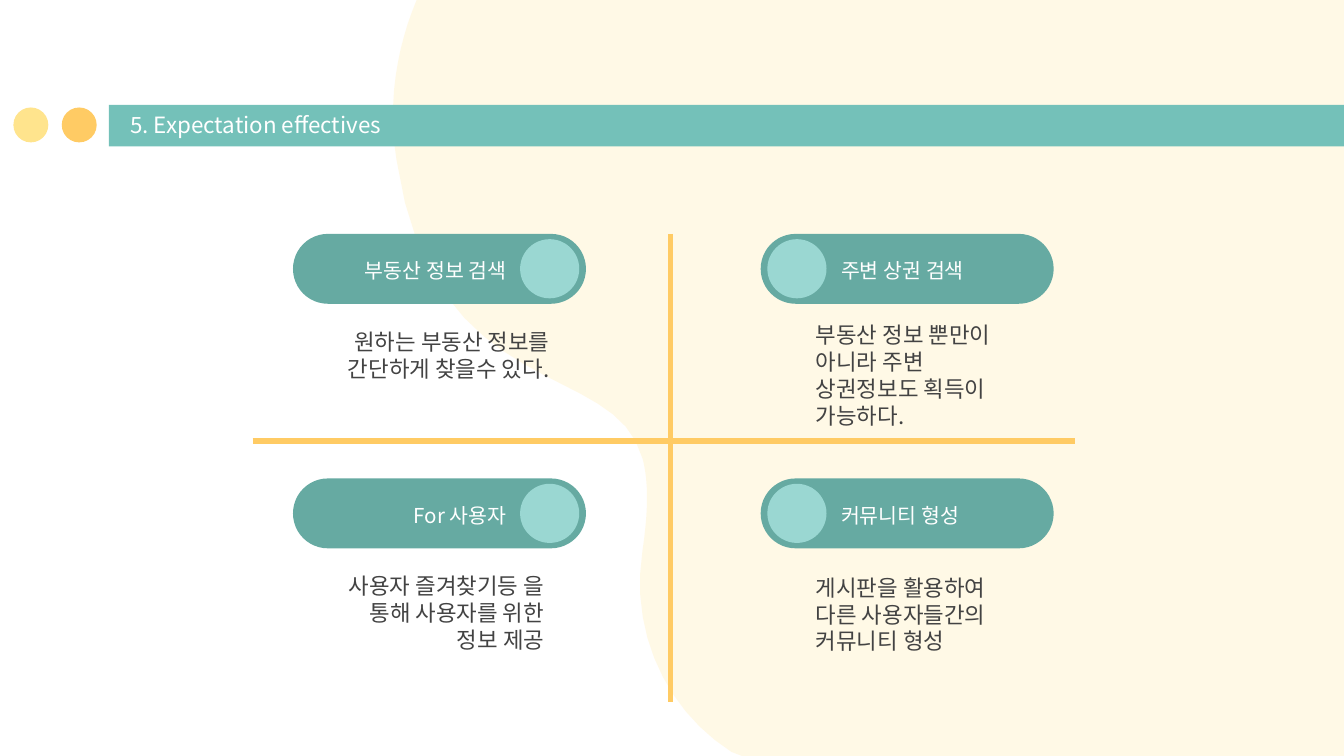
from lxml import etree
from pptx import Presentation
from pptx import util as u
from pptx.dml.color import RGBColor
from pptx.enum import shapes as sh, text as tx
from pptx.oxml.ns import qn

FONT = "Noto Sans CJK KR"
HUES = {"cream": "FFE48D", "gold": "FFCB64", "bar": "74C1B9", "pill": "66AAA2",
        "disc": "9AD7D2", "ink": "434343", "white": "FFFFFF"}
WIDE = 10
HIGH = WIDE * 9 / 16
UNITS = 1000
CURVE = [(3.28, -0.35), (3.01, 0.09), (2.86, 0.62), (2.95, 1.19),
         (3.22, 3.02), (4.58, 2.66), (4.78, 3.41),
         (4.83, 3.59), (4.82, 3.83), (4.78, 4.1),
         (4.64, 5), (5.31, 5.81), (6.18, 5.81)]
QUADS = [
    (2.18, 1.74, True, "부동산 정보 검색", "원하는 부동산 정보를 간단하게 찾을수 있다.", 0.29, 0.69),
    (5.66, 1.74, False, "주변 상권 검색", "부동산 정보 뿐만이 아니라 주변 상권정보도 획득이 가능하다.", 0.41, 0.64),
    (2.18, 3.56, True, "For 사용자", "사용자 즐겨찾기등 을 통해 사용자를 위한 정보 제공", 0.25, 0.69),
    (5.66, 3.56, False, "커뮤니티 형성", "게시판을 활용하여 다른 사용자들간의 커뮤니티 형성", 0.41, 0.7),
]


def rgb(hue):
    return RGBColor.from_string(HUES[hue])


def paint(shape, hue):
    shape.shadow.inherit = False
    shape.fill.solid()
    shape.fill.fore_color.rgb = rgb(hue)
    shape.line.fill.background()
    return shape


def solid(slide, kind, x, y, w, h, hue):
    box = [u.Inches(n) for n in (x, y, w, h)]
    return paint(slide.shapes.add_shape(kind, *box), hue)


def write(shape, words, size, hue, right=False, pads=(0.1, 0.1, 0.1, 0.1)):
    frame = shape.text_frame
    frame.text = words
    frame.word_wrap = True
    frame.auto_size = tx.MSO_AUTO_SIZE.NONE
    (frame.margin_left, frame.margin_top,
     frame.margin_right, frame.margin_bottom) = [u.Inches(n) for n in pads]
    para = frame.paragraphs[0]
    para.alignment = tx.PP_ALIGN.RIGHT if right else tx.PP_ALIGN.LEFT
    font = para.runs[0].font
    font.name, font.size, font.color.rgb = FONT, u.Pt(size), rgb(hue)
    east = etree.SubElement(para.runs[0]._r.rPr, qn("a:ea"))
    east.set("typeface", FONT)


def label(slide, x, y, w, h, *args, **opts):
    box = [u.Inches(n) for n in (x, y, w, h)]
    write(slide.shapes.add_textbox(*box), *args, **opts)


def bezier(knots, steps=16):
    for i in range(0, len(knots) - 1, 3):
        for k in range(steps):
            t = k / steps
            s = 1 - t
            parts = (s ** 3, 3 * s * s * t, 3 * s * t * t, t ** 3)
            yield tuple(sum(p * knot[axis] for p, knot in zip(parts, knots[i:i + 4]))
                        for axis in (0, 1))


def blob(slide):
    edge = [(x, y) for x, y in bezier(CURVE) if 0 <= y <= HIGH]
    edge = [(3.1, 0)] + edge + [(5.52, HIGH), (WIDE, HIGH), (WIDE, 0)]
    dots = [(x * UNITS, y * UNITS) for x, y in edge]
    pen = slide.shapes.build_freeform(*dots[0], scale=u.Inches(1) / UNITS)
    pen.add_line_segments(dots[1:], close=True)
    shape = paint(pen.convert_to_shape(), "cream")
    tint = shape.fill._xPr.find(qn("a:solidFill"))[0]
    etree.SubElement(tint, qn("a:alpha")).set("val", "21000")


def header(slide, x, y, words):
    solid(slide, sh.MSO_SHAPE.RECTANGLE, x, y, WIDE - x, 0.31, "bar")
    for gap, hue in ((0.35, "gold"), (0.71, "cream")):
        solid(slide, sh.MSO_SHAPE.OVAL, x - gap, y + 0.02, 0.26, 0.26, hue)
    title = slide.shapes.title
    title.left, title.top = u.Inches(x + 0.06), u.Inches(y + 0.01)
    title.width, title.height = u.Inches(5.48), u.Inches(0.34)
    write(title, words, 12, "white")
    title.text_frame.vertical_anchor = tx.MSO_ANCHOR.BOTTOM
    slide.shapes._spTree.append(title._element)


def quad(slide, x, y, right, head, body, dx, dy):
    pill = solid(slide, sh.MSO_SHAPE.ROUNDED_RECTANGLE, x, y, 2.18, 0.52, "pill")
    pill.adjustments[0] = 0.5
    solid(slide, sh.MSO_SHAPE.OVAL, x + (1.69 if right else 0.05), y + 0.04,
          0.44, 0.44, "disc")
    label(slide, x + (0.25 if right else 0.5), y + 0.08, 1.44, 0.34,
          head, 11, "white", right)
    label(slide, x + dx, y + dy, 1.62 if right else 1.59, 0.62, body, 12, "ink",
          right, pads=(0, 0.01, 0, 0))


def rule(slide, *ends):
    line = slide.shapes.add_connector(sh.MSO_CONNECTOR.STRAIGHT,
                                      *[u.Inches(n) for n in ends])
    line.line.color.rgb = rgb("gold")
    line.line.width = u.Pt(3)
    etree.SubElement(line._element.spPr, qn("a:effectLst"))


def main():
    deck = Presentation()
    deck.slide_width, deck.slide_height = u.Inches(WIDE), u.Inches(HIGH)
    slide = deck.slides.add_slide(deck.slide_layouts[5])
    blob(slide)
    header(slide, 0.81, 0.78, "5. Expectation effectives")
    for row in QUADS:
        quad(slide, *row)
    rule(slide, 1.88, 3.28, 8, 3.28)
    rule(slide, 4.99, 1.74, 4.99, 5.22)
    deck.save("out.pptx")


if __name__ == "__main__":
    main()
